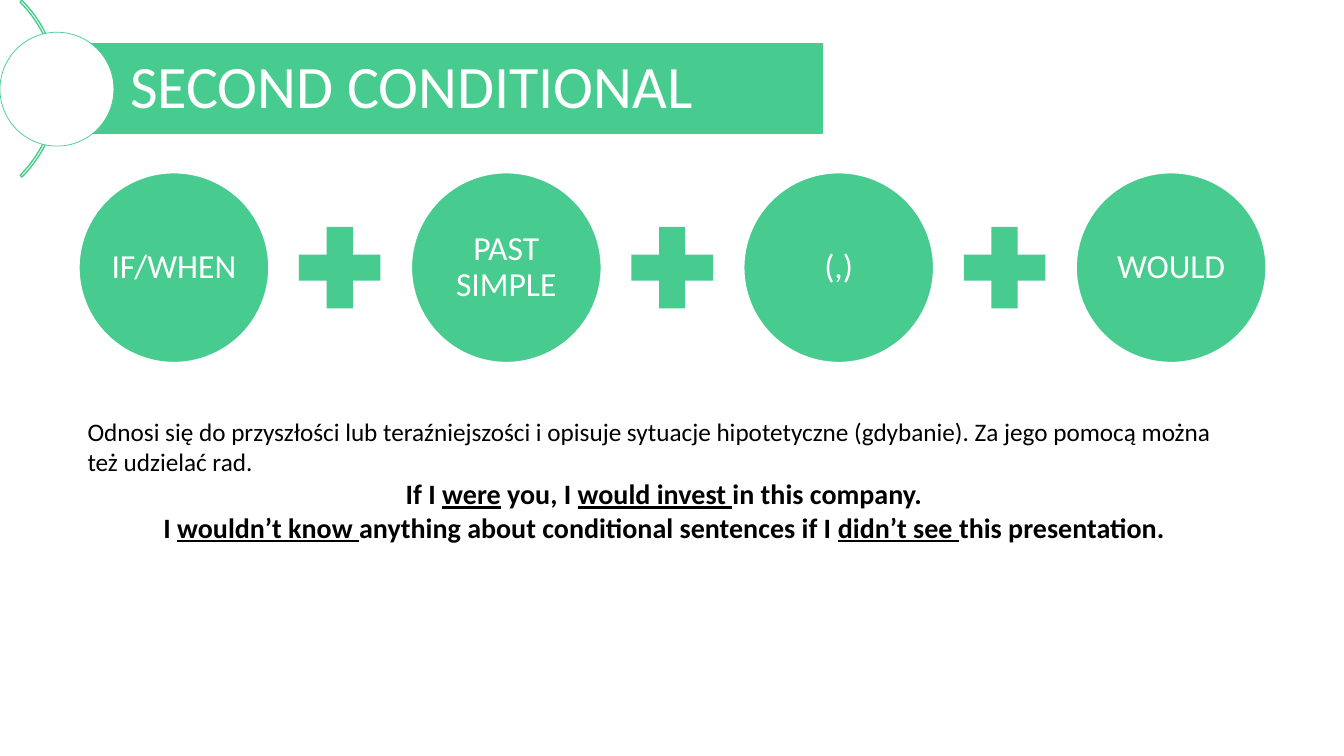
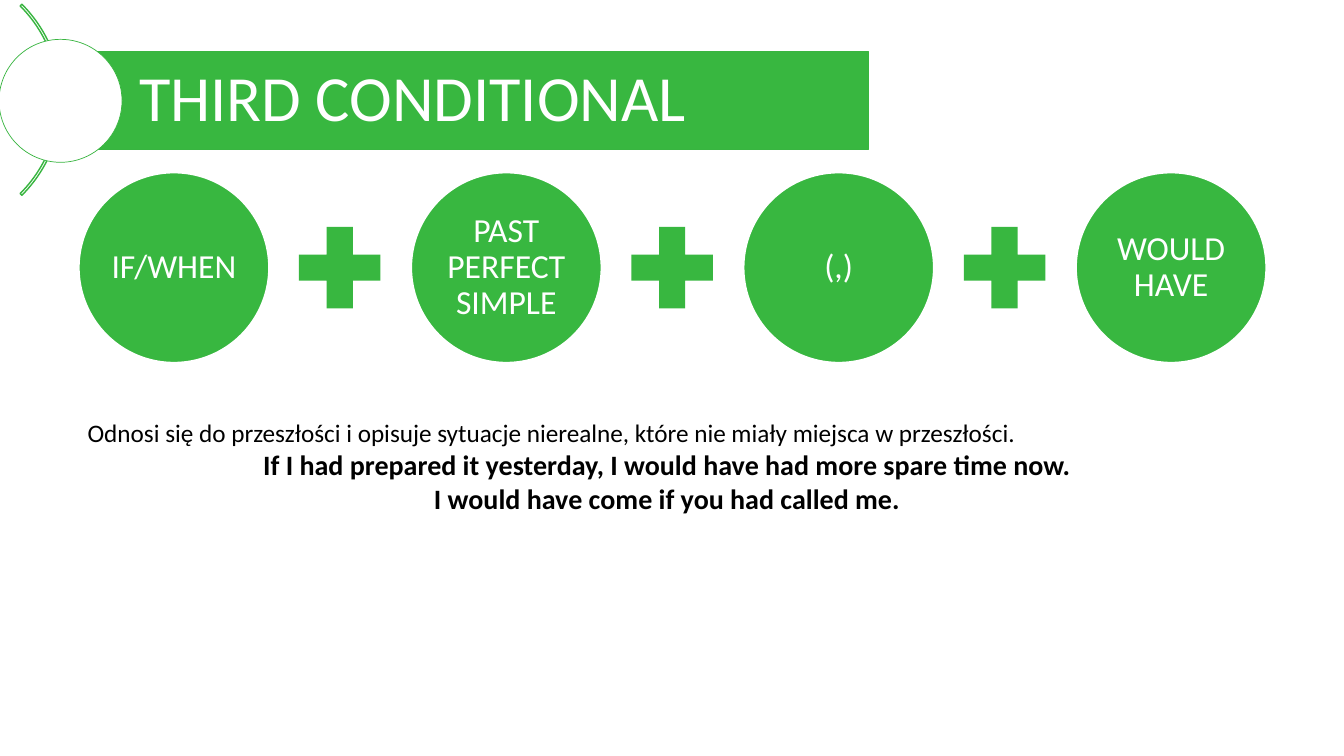
from dataclasses import dataclass
from typing import Any

from pptx import Presentation
from pptx.dml.color import RGBColor
from pptx.enum.shapes import MSO_SHAPE
from pptx.enum.text import MSO_ANCHOR, MSO_AUTO_SIZE, PP_ALIGN
from pptx.util import Inches, Pt

ARC, BAR = MSO_SHAPE.BLOCK_ARC, MSO_SHAPE.RECTANGLE
OVAL, PLUS = MSO_SHAPE.OVAL, MSO_SHAPE.MATH_PLUS
LEFT, CENTER = PP_ALIGN.LEFT, PP_ALIGN.CENTER
TOP, MIDDLE = MSO_ANCHOR.TOP, MSO_ANCHOR.MIDDLE
GROW = MSO_AUTO_SIZE.SHAPE_TO_FIT_TEXT

FONT, WHITE, BLACK = "Calibri", "FFFFFF", "000000"
Box = tuple[float, float, float, float]

# Formula row: four circles at equal steps, a plus in each gap
FIRST, LAST, ROW, SIZE = 0.78, 10.67, 1.71, 1.89
SIGN, SHIFT = 1.1, 2.04


@dataclass
class Header:
    title: str
    size: int
    arc: Box
    depth: float
    bar: Box
    disc: Box
    indent: float
    pad: float


@dataclass
class Lesson:
    fill: str
    edge: str
    header: Header
    terms: list[str]
    note: Box
    rule: str
    samples: list[str]  # underscores enclose underlined words


def color(code: str) -> RGBColor:
    return RGBColor.from_string(code)


def inches(box: Box) -> list[int]:
    return [Inches(n) for n in box]


def draw(shapes: Any, kind: int, box: Box, fill: str = "",
         line: str = "", width: float = 1) -> Any:
    shape = shapes.add_shape(kind, *inches(box))
    shape.shadow.inherit = False
    if fill:
        shape.fill.solid()
        shape.fill.fore_color.rgb = color(fill)
    else:
        shape.fill.background()
    if line:
        shape.line.color.rgb = color(line)
        shape.line.width = Pt(width)
    else:
        shape.line.fill.background()
    return shape


def write(para: Any, text: str, *, size: int, ink: str = BLACK,
          bold: bool = False, align: int = LEFT, space: float = 1) -> None:
    para.alignment = align
    para.line_spacing = space
    for i, part in enumerate(text.split("_")):
        if part:
            run = para.add_run()
            run.text = part
            font = run.font
            font.name, font.size, font.bold = FONT, Pt(size), bold
            font.underline = i % 2 == 1
            font.color.rgb = color(ink)


def frame(shape: Any, pads: Box, anchor: int) -> Any:
    body = shape.text_frame
    body.word_wrap = True
    body.vertical_anchor = anchor
    (body.margin_left, body.margin_top,
     body.margin_right, body.margin_bottom) = inches(pads)
    return body


def add_header(slide: Any, lesson: Lesson) -> None:
    head = lesson.header
    shapes = slide.shapes.add_group_shape().shapes
    arc = draw(shapes, ARC, head.arc, line=lesson.edge)
    for i, value in enumerate((189, 27, head.depth)):
        arc.adjustments[i] = value
    bar = draw(shapes, BAR, head.bar, lesson.fill, lesson.edge, 0.75)
    body = frame(bar, (head.indent, head.pad, head.pad, head.pad), MIDDLE)
    write(body.paragraphs[0], head.title, size=head.size, ink=WHITE, space=0.9)
    draw(shapes, OVAL, head.disc, WHITE, lesson.edge, 0.5)


def add_terms(slide: Any, lesson: Lesson) -> None:
    shapes = slide.shapes.add_group_shape().shapes
    step = (LAST - FIRST) / (len(lesson.terms) - 1)
    for i, term in enumerate(lesson.terms):
        left = FIRST + i * step
        if i:
            draw(shapes, PLUS, (left - step + SHIFT, ROW + (SIZE - SIGN) / 2,
                                SIGN, SIGN), lesson.fill)
        disc = draw(shapes, OVAL, (left, ROW, SIZE, SIZE),
                    lesson.fill, WHITE, 1.5)
        body = frame(disc, (0.03,) * 4, MIDDLE)
        write(body.paragraphs[0], term, size=24, ink=WHITE,
              align=CENTER, space=0.9)


def add_note(slide: Any, lesson: Lesson) -> None:
    box = slide.shapes.add_textbox(*inches(lesson.note))
    body = frame(box, (0.1, 0.05, 0.1, 0.05), TOP)
    body.auto_size = GROW
    write(body.paragraphs[0], lesson.rule, size=18)
    for text in lesson.samples:
        write(body.add_paragraph(), text, size=20, bold=True, align=CENTER)


LESSONS = [
    Lesson(
        "47CB8E", "47CB8E",
        Header("SECOND CONDITIONAL", 43, (-1.9, -0.36, 2.48, 2.48), 0.01,
               (0.56, 0.43, 7.6, 0.9), (0, 0.32, 1.13, 1.13), 0.73, 0.12),
        ["IF/WHEN", "PAST SIMPLE", "(,)", "WOULD"],
        (0.77, 4.08, 11.63, 1.38),
        "Odnosi się do przyszłości lub teraźniejszości i opisuje sytuacje "
        "hipotetyczne (gdybanie). Za jego pomocą można też udzielać rad.",
        ["If I _were_ you, I _would invest _in this company.",
         "I _wouldn’t know _anything about conditional sentences "
         "if I _didn’t see _this presentation."],
    ),
    Lesson(
        "38B740", "38B540",
        Header("THIRD CONDITIONAL", 46, (-2.07, -0.35, 2.68, 2.68), 0.009,
               (0.59, 0.51, 8.02, 0.97), (-0.01, 0.39, 1.22, 1.22), 0.79, 0.13),
        ["IF/WHEN", "PAST PERFECT SIMPLE", "(,)", "WOULD HAVE"],
        (0.77, 4.09, 11.69, 1.08),
        "Odnosi się do przeszłości i opisuje sytuacje nierealne, "
        "które nie miały miejsca w przeszłości.",
        ["If I had prepared it yesterday, "
         "I would have had more spare time now.",
         "I would have come if you had called me."],
    ),
]

# Build the deck
deck = Presentation()
deck.slide_width, deck.slide_height = Inches(13.33), Inches(7.5)
for lesson in LESSONS:
    slide = deck.slides.add_slide(deck.slide_layouts[6])
    add_header(slide, lesson)
    add_terms(slide, lesson)
    add_note(slide, lesson)
deck.save("out.pptx")
